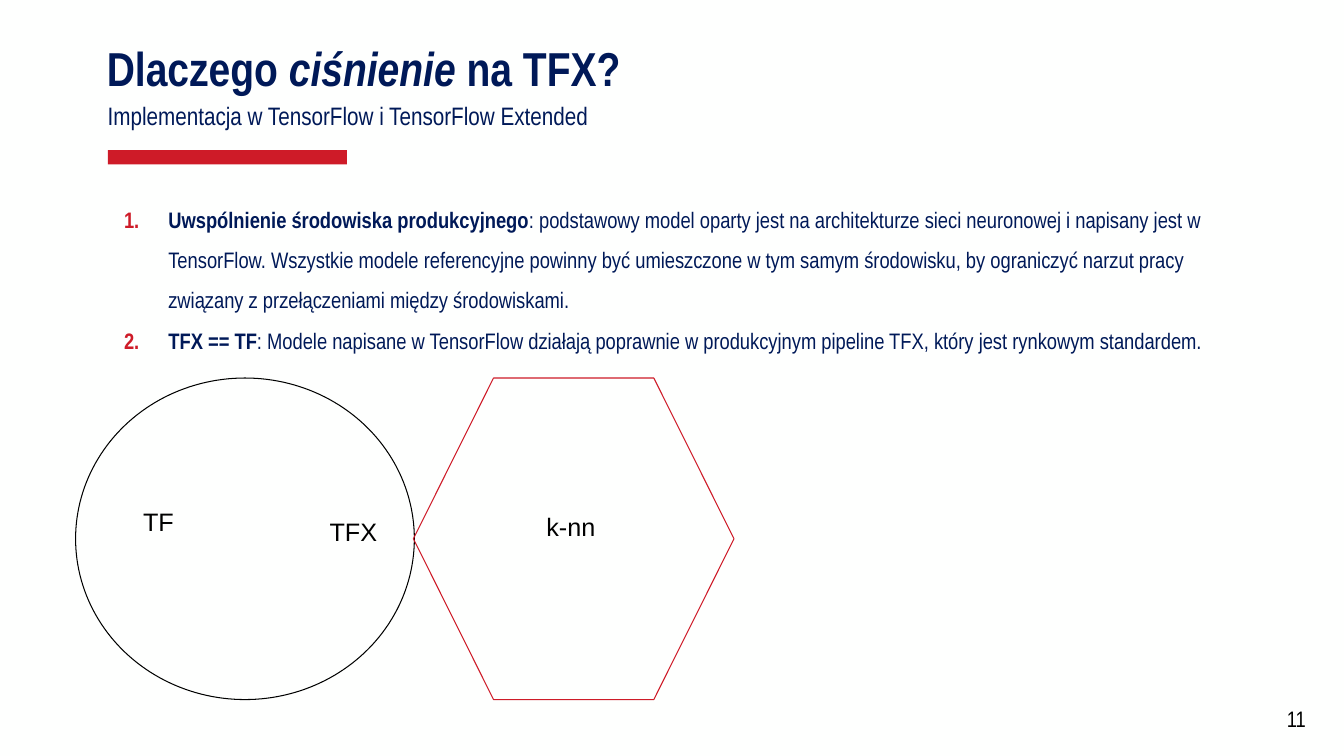
from dataclasses import dataclass
from typing import Optional

from lxml.etree import SubElement
from pptx import Presentation
from pptx.dml.color import RGBColor
from pptx.enum.shapes import MSO_SHAPE
from pptx.enum.text import MSO_ANCHOR, MSO_AUTO_SIZE, PP_ALIGN
from pptx.oxml.ns import qn
from pptx.util import Inches, Pt

COLOURS = {"navy": "001958", "red": "CE1B28", "black": "000000", "paper": "FEFFFE"}


@dataclass(frozen=True)
class Span:
    """A stretch of text with its own emphasis."""
    text: str
    bold: bool = False
    italic: bool = False


@dataclass(frozen=True)
class Figure:
    """A preset shape with its place, fill and outline."""
    kind: MSO_SHAPE
    place: tuple[float, float, float, float]
    fill: Optional[str] = None
    line: Optional[str] = None


@dataclass(frozen=True)
class Label:
    """A caption lying on one of the figures."""
    text: str
    place: tuple[float, float, float, float]


TITLE = [[Span("Dlaczego ", bold=True), Span("ciśnienie", bold=True, italic=True),
          Span(" na TFX?", bold=True)]]
SUBTITLE = [[Span("Implementacja w TensorFlow i TensorFlow Extended")]]
REASONS = [
    [Span("Uwspólnienie środowiska produkcyjnego", bold=True),
     Span(": podstawowy model oparty jest na architekturze sieci neuronowej i napisany jest w "
          "TensorFlow. Wszystkie modele referencyjne powinny być umieszczone w tym samym "
          "środowisku, by ograniczyć narzut pracy związany z przełączeniami między "
          "środowiskami.")],
    [Span("TFX == TF", bold=True),
     Span(": Modele napisane w TensorFlow działają poprawnie w produkcyjnym pipeline TFX, "
          "który jest rynkowym standardem.")],
]
FIGURES = [
    Figure(MSO_SHAPE.RECTANGLE, (1.07, 1.49, 2.37, 0.14), fill="red"),
    Figure(MSO_SHAPE.OVAL, (0.75, 3.75, 3.36, 3.19), fill="paper", line="black"),
    Figure(MSO_SHAPE.HEXAGON, (4.1, 3.75, 3.18, 3.19), line="red"),
]
LABELS = [
    Label("TF", (1.32, 4.92, 6.32, 0.54)),
    Label("TFX", (3.17, 5.02, 6.32, 0.5)),
    Label("k-nn", (5.32, 4.97, 6.32, 0.5)),
]


def colour(name: str) -> RGBColor:
    """Return the named colour of the palette."""
    return RGBColor.from_string(COLOURS[name])


def write_text(box, paragraphs: list[list[Span]], place: tuple, *, size: float,
               font: str = "Arial Narrow", ink: str = "navy", spacing: float = 1.0,
               align=PP_ALIGN.LEFT, anchor=MSO_ANCHOR.TOP, inset: float = 0.05) -> None:
    """Place a box and fill it with formatted paragraphs."""
    box.left, box.top, box.width, box.height = map(Inches, place)
    frame = box.text_frame
    frame.word_wrap = True
    frame.auto_size = MSO_AUTO_SIZE.NONE
    frame.vertical_anchor = anchor
    frame.margin_left = frame.margin_right = Inches(0.1)
    frame.margin_top = frame.margin_bottom = Inches(inset)
    for index, spans in enumerate(paragraphs):
        para = frame.add_paragraph() if index else frame.paragraphs[0]
        para.alignment = align
        para.line_spacing = spacing
        para.space_before = Pt(0)
        for span in spans:
            run = para.add_run()
            run.text = span.text
            run.font.name = font
            run.font.size = Pt(size)
            run.font.bold = span.bold
            run.font.italic = span.italic
            run.font.color.rgb = colour(ink)


def number_list(box, ink: str) -> None:
    """Number the paragraphs of a box with a hanging indent."""
    for para in box.text_frame.paragraphs:
        properties = para._p.get_or_add_pPr()
        properties.set("marL", str(Inches(0.5)))
        properties.set("indent", str(Inches(-0.44)))
        bullet_colour = SubElement(properties, qn("a:buClr"))
        SubElement(bullet_colour, qn("a:srgbClr"), val=COLOURS[ink])
        SubElement(properties, qn("a:buFont"), typeface="+mj-lt")
        SubElement(properties, qn("a:buAutoNum"), type="arabicPeriod")


def draw_figure(page, figure: Figure) -> None:
    """Draw one preset shape."""
    shape = page.shapes.add_shape(figure.kind, *map(Inches, figure.place))
    shape.shadow.inherit = False
    if figure.fill:
        shape.fill.solid()
        shape.fill.fore_color.rgb = colour(figure.fill)
    else:
        shape.fill.background()
    if figure.line:
        shape.line.color.rgb = colour(figure.line)
        shape.line.width = Pt(0.75)
    else:
        shape.line.fill.background()


def add_box(page):
    """Add a text box that is placed when its text is written."""
    return page.shapes.add_textbox(0, 0, 0, 0)


def main() -> None:
    """Build the slide and save the deck."""
    deck = Presentation()
    deck.slide_width, deck.slide_height = Inches(13.33), Inches(7.5)
    page = deck.slides.add_slide(deck.slide_layouts.get_by_name("Title and Content"))
    page.background.fill.solid()
    page.background.fill.fore_color.rgb = colour("paper")

    write_text(page.shapes.title, TITLE, (0.96, 0.45, 7.28, 0.55), size=34, spacing=0.8)
    write_text(add_box(page), SUBTITLE, (0.97, 0.98, 7.93, 0.38), size=18, spacing=0.8,
               anchor=MSO_ANCHOR.MIDDLE)
    body = page.placeholders[1]
    write_text(body, REASONS, (1.07, 1.82, 11.05, 1.78), size=16, spacing=1.5,
               anchor=MSO_ANCHOR.MIDDLE)
    number_list(body, "red")

    for figure in FIGURES:
        draw_figure(page, figure)
    for label in LABELS:
        write_text(add_box(page), [[Span(label.text)]], label.place, size=18, font="Arial",
                   ink="black", inset=0.1)
    write_text(add_box(page), [[Span("11")]], (12.49, 7.01, 0.56, 0.23), size=16, ink="black",
               align=PP_ALIGN.RIGHT, anchor=MSO_ANCHOR.MIDDLE)
    deck.save("out.pptx")


if __name__ == "__main__":
    main()
